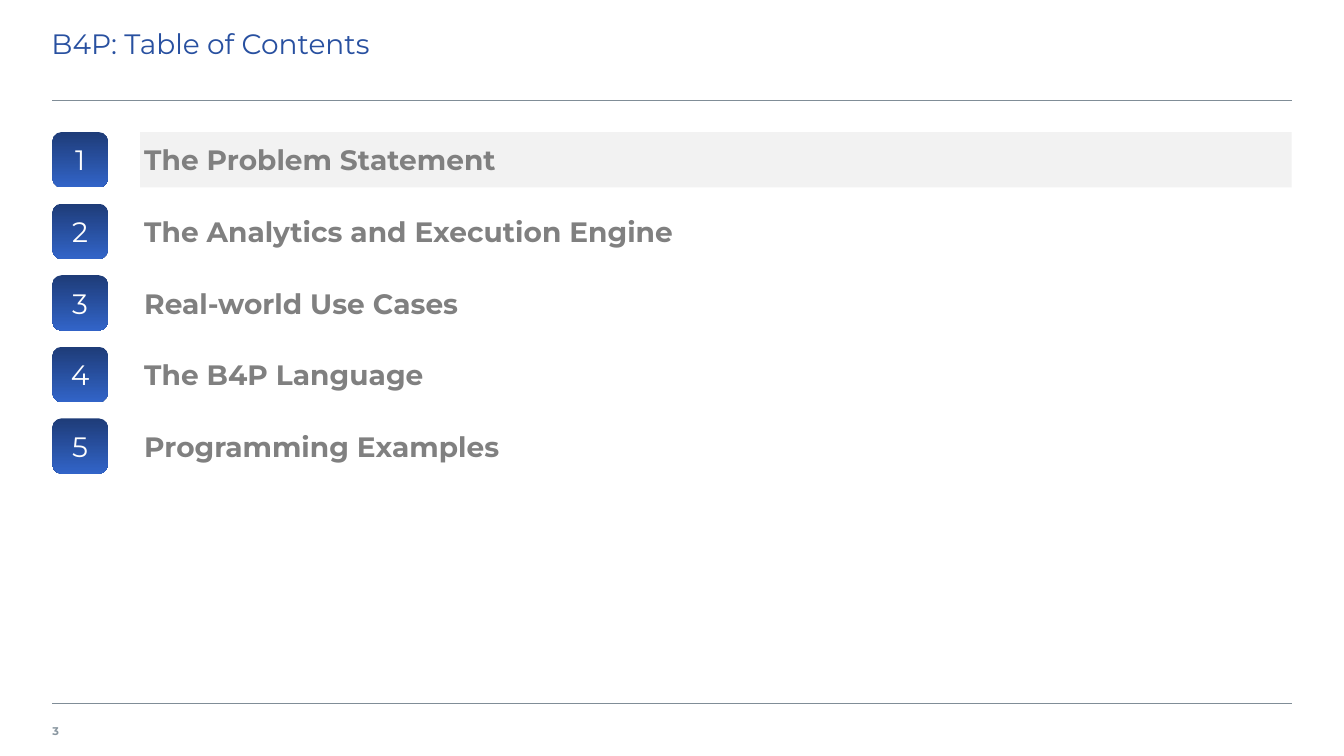
from dataclasses import dataclass

from lxml import etree
from pptx import Presentation
from pptx import util as u
from pptx.dml.color import RGBColor
from pptx.enum import shapes, text
from pptx.oxml.ns import qn


@dataclass(frozen=True)
class Theme:
    font: str = "Montserrat"
    title: str = "2850A0"
    entry: str = "808080"
    highlight: str = "F2F2F2"
    badge_top: str = "1E3C78"
    badge_bottom: str = "3264C8"
    badge_text: str = "FFFFFF"
    rule: str = "808D97"
    page_number: str = "8996A0"
    text_size: int = 20
    number_size: int = 8


LEFT, RIGHT = 0.52, 12.81
ENTRY_LEFT = 1.39
FIRST_TOP, ROW_STEP, ROW_HEIGHT = 1.31, 0.71, 0.55
ROW_INSETS = (0.04, 0.04, 0.04, 0.04)
ENTRIES = (
    "The Problem Statement",
    "The Analytics and Execution Engine",
    "Real-world Use Cases",
    "The B4P Language",
    "Programming Examples",
)
CURRENT_ENTRY = 1


class SlideBuilder:
    def __init__(self, page, theme):
        self.page = page
        self.theme = theme

    def set_text(self, shape, words, color, size, bold=False, insets=ROW_INSETS,
                 align=text.PP_ALIGN.LEFT, anchor=text.MSO_ANCHOR.MIDDLE):
        frame = shape.text_frame
        frame.text = words
        frame.word_wrap = True
        frame.auto_size = text.MSO_AUTO_SIZE.NONE
        frame.vertical_anchor = anchor
        (frame.margin_left, frame.margin_top,
         frame.margin_right, frame.margin_bottom) = map(u.Inches, insets)
        para = frame.paragraphs[0]
        para.alignment = align
        font = para.runs[0].font
        font.name = self.theme.font
        font.size = u.Pt(size)
        font.bold = bold
        font.color.rgb = RGBColor.from_string(color)

    def title(self, words):
        box = self.page.shapes.title
        box.left, box.top = u.Inches(0.51), u.Inches(0.21)
        box.width, box.height = u.Inches(12.28), u.Inches(0.79)
        self.set_text(box, words, self.theme.title, self.theme.text_size,
                      insets=(0, 0.05, 0.1, 0.05), anchor=text.MSO_ANCHOR.TOP)

    def rule(self, top):
        line = self.page.shapes.add_connector(
            shapes.MSO_CONNECTOR.STRAIGHT, u.Inches(LEFT), u.Inches(top),
            u.Inches(RIGHT), u.Inches(top))
        line.line.color.rgb = RGBColor.from_string(self.theme.rule)
        line.line.width = u.Pt(1)
        etree.SubElement(line._element.spPr, qn("a:effectLst"))

    def page_number(self, words):
        box = self.page.shapes.add_textbox(
            u.Inches(LEFT), u.Inches(7.06), u.Inches(0.47), u.Inches(0.39))
        self.set_text(box, words, self.theme.page_number, self.theme.number_size,
                      bold=True, insets=(0, 0.05, 0.08, 0.05))

    def entry(self, words, top, current):
        area = [u.Inches(value) for value in
                (ENTRY_LEFT, top, RIGHT - ENTRY_LEFT, ROW_HEIGHT)]
        if current:
            box = self.page.shapes.add_shape(shapes.MSO_SHAPE.RECTANGLE, *area)
            box.shadow.inherit = False
            box.fill.solid()
            box.fill.fore_color.rgb = RGBColor.from_string(self.theme.highlight)
            box.line.fill.background()
        else:
            box = self.page.shapes.add_textbox(*area)
        self.set_text(box, words, self.theme.entry, self.theme.text_size, bold=True)

    def badge(self, number, top):
        box = self.page.shapes.add_shape(
            shapes.MSO_SHAPE.ROUNDED_RECTANGLE, u.Inches(LEFT), u.Inches(top),
            u.Inches(ROW_HEIGHT), u.Inches(ROW_HEIGHT))
        box.shadow.inherit = False
        box.line.fill.background()
        box.fill.gradient()
        box.fill.gradient_angle = 270
        colors = (self.theme.badge_top, self.theme.badge_bottom)
        for position, (stop, color) in enumerate(zip(box.fill.gradient_stops, colors)):
            stop.position = position
            stop.color.rgb = RGBColor.from_string(color)
        self.set_text(box, str(number), self.theme.badge_text, self.theme.text_size,
                      align=text.PP_ALIGN.CENTER)


def main():
    deck = Presentation()
    deck.slide_width, deck.slide_height = u.Inches(13.33), u.Inches(7.5)
    page = deck.slides.add_slide(deck.slide_layouts.get_by_name("Title Only"))
    builder = SlideBuilder(page, Theme())

    for top in (6.98, 1):
        builder.rule(top)
    builder.page_number("3")
    builder.title("B4P: Table of Contents")
    for number, words in enumerate(ENTRIES, start=1):
        top = FIRST_TOP + (number - 1) * ROW_STEP
        builder.entry(words, top, number == CURRENT_ENTRY)
        builder.badge(number, top)

    deck.save("out.pptx")


if __name__ == "__main__":
    main()
